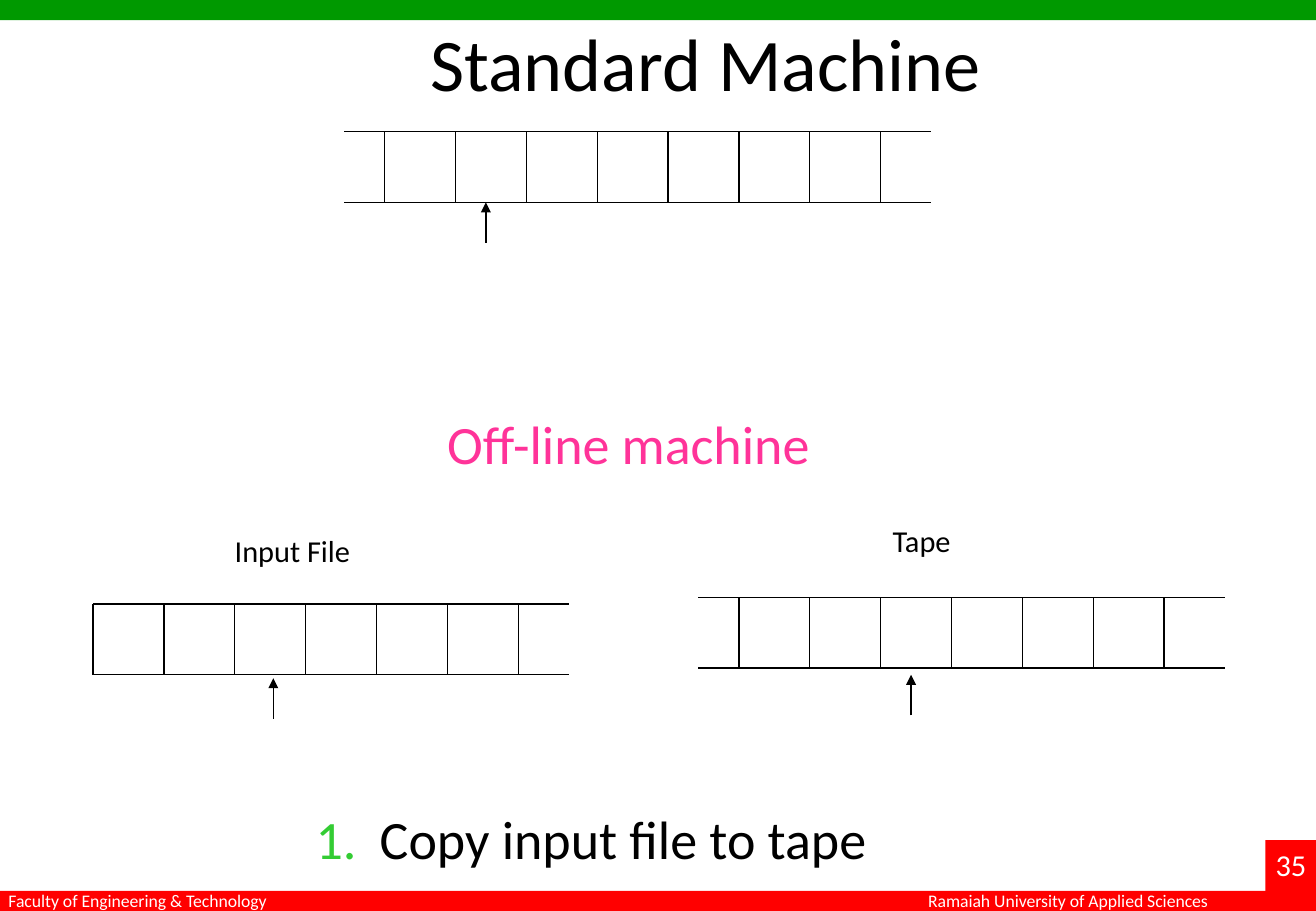
from lxml import etree
from pptx import Presentation
from pptx.dml.color import RGBColor
from pptx.enum.shapes import MSO_CONNECTOR, MSO_SHAPE
from pptx.oxml.ns import qn
from pptx.util import Pt

LINE = MSO_CONNECTOR.STRAIGHT
RECT = MSO_SHAPE.RECTANGLE
FONT = "Calibri"
WIDE, HIGH = 780, 540
BAR = 12
CELL = 42
COLORS = {
    "black": "000000",
    "white": "FFFFFF",
    "red": "FF0000",
    "green": "009900",
    "lime": "33CC33",
    "pink": "FF3399",
}


def color(name):
    return RGBColor.from_string(COLORS[name])


class Canvas:
    def __init__(self, slide):
        self.shapes = slide.shapes

    def block(self, x, y, w, h, fill):
        shape = self.shapes.add_shape(RECT, Pt(x), Pt(y), Pt(w), Pt(h))
        shape.shadow.inherit = False
        shape.fill.solid()
        shape.fill.fore_color.rgb = color(fill)
        shape.line.fill.background()

    def line(self, x1, y1, x2, y2, arrow=False):
        line = self.shapes.add_connector(LINE, Pt(x1), Pt(y1), Pt(x2), Pt(y2))
        line.line.color.rgb = color("black")
        line.line.width = Pt(0.75)
        if arrow:
            etree.SubElement(line.line._get_or_add_ln(), qn("a:tailEnd"), type="triangle")
        etree.SubElement(line._element.spPr, qn("a:effectLst"))

    def text(self, x, y, w, h, words, size, fill="black", inset=7.2):
        box = self.shapes.add_textbox(Pt(x), Pt(y), Pt(w), Pt(h))
        frame = box.text_frame
        frame.word_wrap = True
        frame.margin_left = Pt(inset)
        frame.margin_right = 0
        frame.text = words
        para = frame.paragraphs[0]
        for run in para.runs:
            self.style(run, size, fill)
        return para

    def style(self, run, size, fill):
        run.font.name = FONT
        run.font.size = Pt(size)
        run.font.color.rgb = color(fill)

    def step(self, x, y, w, h, mark, words, size, gap):
        para = self.text(x, y, w, h, mark, size, "lime")
        tabs = etree.SubElement(para._p.get_or_add_pPr(), qn("a:tabLst"))
        etree.SubElement(tabs, qn("a:tab"), pos=str(Pt(gap)), algn="l")
        run = para.add_run()
        run.text = "\t" + words
        self.style(run, size, "black")

    def tape(self, left, right, top, first, count, head, gap):
        base = top + CELL
        for y in (top, base):
            self.line(left, y, right, y)
        for i in range(count):
            x = first + i * CELL
            self.line(x, top, x, base)
        self.line(head, base + gap + 24, head, base + gap, arrow=True)


def main():
    deck = Presentation()
    deck.slide_width, deck.slide_height = Pt(WIDE), Pt(HIGH)
    page = Canvas(deck.slides.add_slide(deck.slide_layouts[6]))

    page.block(0, HIGH - BAR, WIDE, BAR, "red")
    page.text(543, 524, 184, 20 - 4, "Ramaiah University of Applied Sciences", 10.5, "white")
    page.text(0, 524, 171, 20 - 4, "Faculty of Engineering & Technology", 10.5, "white", 5)
    page.block(0, 0, WIDE, BAR, "green")
    page.block(750, 498, 30, CELL, "red")
    page.text(749, 498, 31, 29, "35", 18, "white")

    page.text(248, 6.5, 344, 60, "Standard Machine", 44)
    page.tape(204, 552, 78, 228, 8, 288, 0)

    page.text(258, 240, 233, 46, "Off-line machine", 32, "pink")
    page.text(132, 312, 84, 29, "Input File", 18)
    page.tape(55.2, 337.2, 358, 55.2, 7, 162, 2)
    page.text(522, 306, 50, 29, "Tape", 18)
    page.tape(414, 726, 354, 438, 7, 540, 4)

    page.step(180, 474, 346, 46, "1.", "Copy input file to tape", 32, 38)

    deck.save("out.pptx")


if __name__ == "__main__":
    main()
